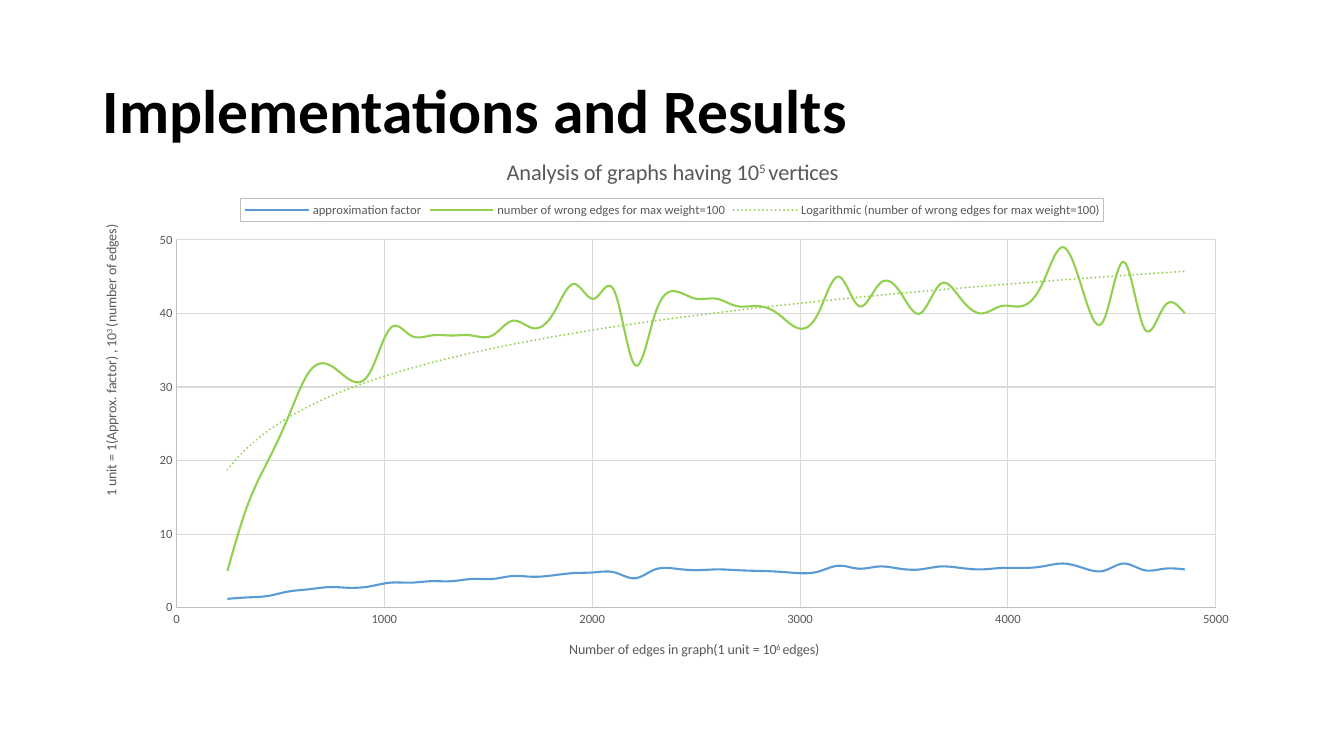
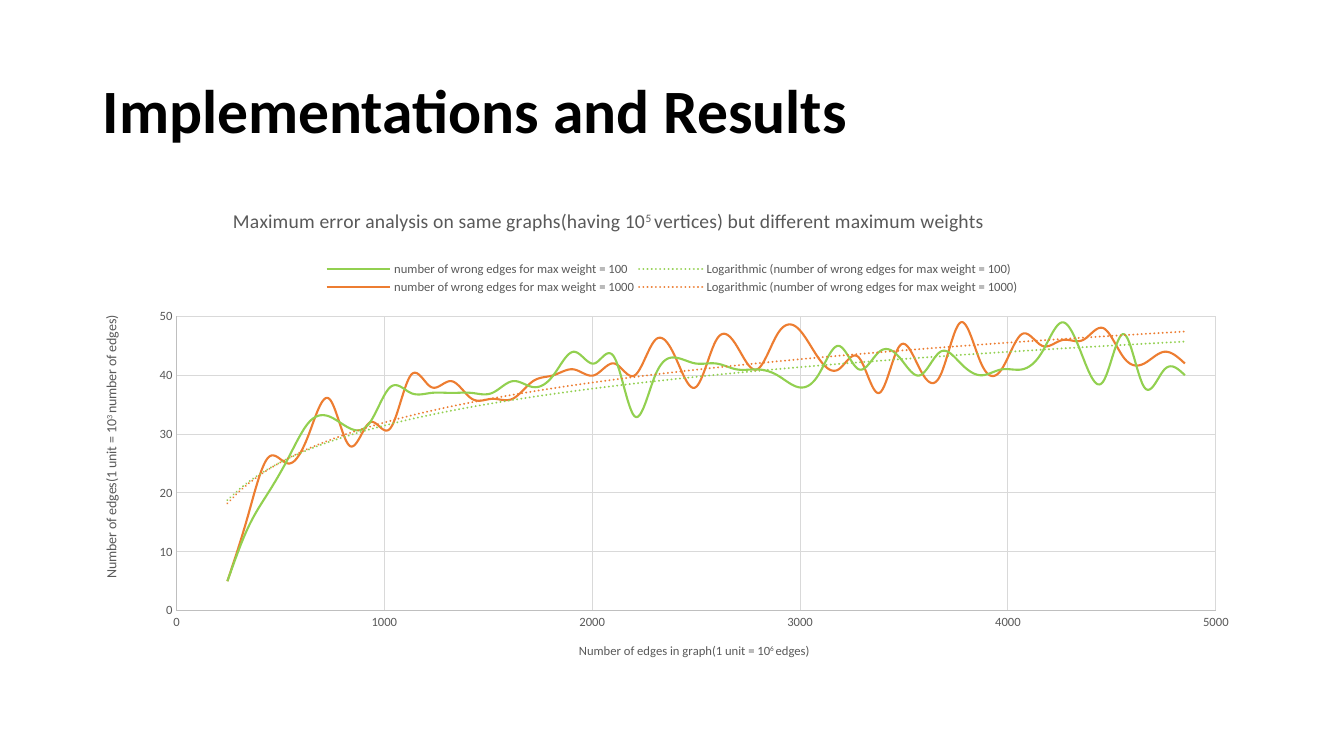
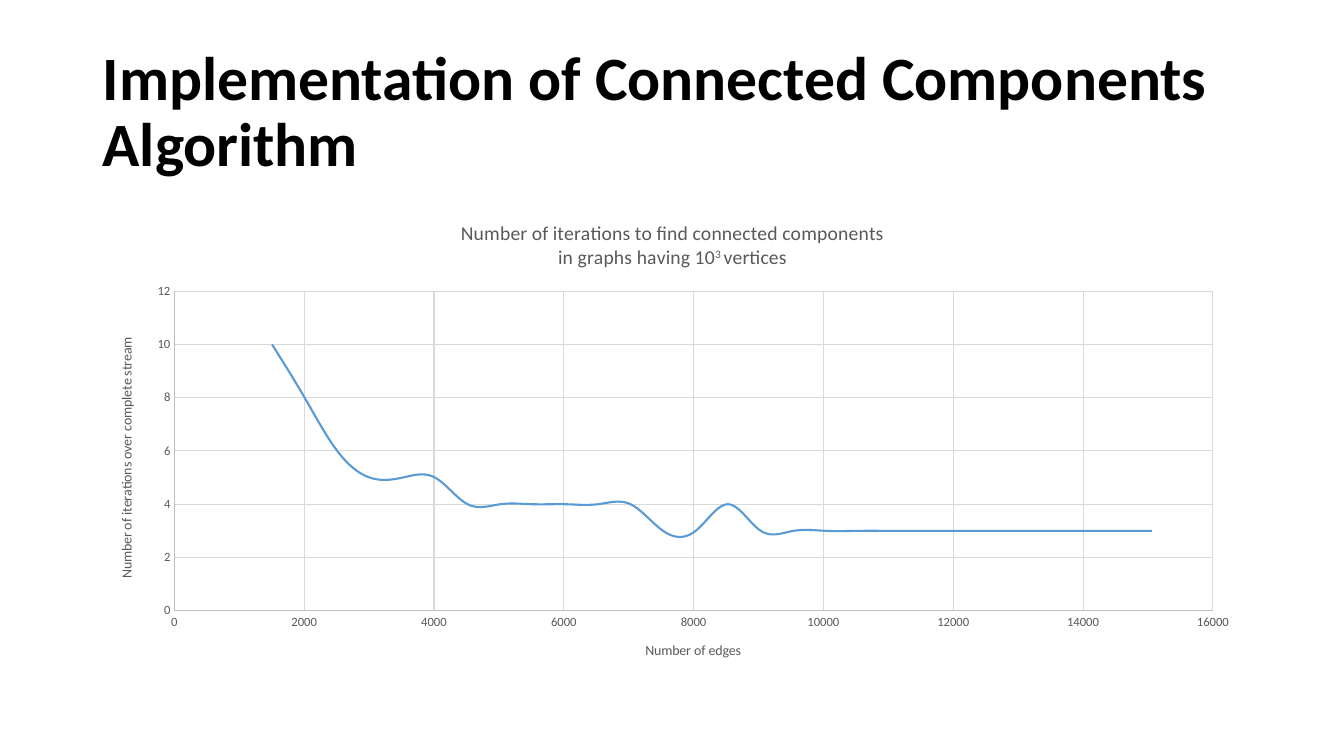
"""Three slides of smooth scatter charts on graph algorithm results."""
from lxml.etree import SubElement as Sub
from pptx import Presentation
from pptx.chart.data import XyChartData
from pptx.dml.color import RGBColor
from pptx.enum.chart import XL_CHART_TYPE as Kind, XL_LEGEND_POSITION as Spot
from pptx.enum.chart import XL_TICK_MARK as Tick
from pptx.enum.text import MSO_ANCHOR as Anchor
from pptx.oxml import parse_xml
from pptx.oxml.ns import nsdecls, qn
from pptx.util import Inches, Pt

FONT = "Calibri"
BLACK, GRAY, RULE, GRID = "000000", "595959", "BFBFBF", "D9D9D9"
BLUE, GREEN, ORANGE = "5B9BD5", "92D050", "ED7D31"
LEFT, WIDE = 0.92, 11.5

EDGES = range(245, 4852, 98)
STREAM = range(1506, 15061, 502)
FACTOR = [
    1.2, 1.4, 1.6, 2.2, 2.5, 2.8, 2.7, 2.9, 3.4, 3.4, 3.6, 3.6,
    3.9, 3.9, 4.3, 4.2, 4.4, 4.7, 4.8, 4.8, 4.0, 5.2, 5.3, 5.1,
    5.2, 5.1, 5.0, 4.9, 4.7, 4.9, 5.7, 5.3, 5.6, 5.3, 5.2, 5.6,
    5.4, 5.2, 5.4, 5.4, 5.6, 6.0, 5.4, 5.0, 6.0, 5.1, 5.3, 5.2]
LIGHT = [
    5, 14, 20, 26, 32, 33, 31, 32, 38, 37, 37, 37, 37, 37, 39, 38,
    40, 44, 42, 43, 33, 40, 43, 42, 42, 41, 41, 40, 38, 40, 45, 41,
    44, 43, 40, 44, 42, 40, 41, 41, 44, 49, 43, 39, 47, 38, 41, 40]
HEAVY = [
    5, 16, 26, 25, 30, 36, 28, 32, 31, 40, 38, 39, 36, 36, 36, 39,
    40, 41, 40, 42, 40, 46, 43, 38, 46, 45, 41, 47, 48, 43, 41, 43,
    37, 45, 41, 40, 49, 42, 41, 47, 45, 46, 46, 48, 43, 42, 44, 42]
ROUNDS = [10, 8, 6, 5, 5, 5] + [4] * 6 + [3, 3, 4] + [3] * 13

# Text between bars is raised; boxes are inches on the slide.
SLIDES = [
    {"head": "Implementations and Results",
     "top": 1.37, "high": 5.38, "plot": (1.75, 2.38, 10.31, 3.65),
     "title": ("Analysis of graphs having 10|5 |vertices", 16, None),
     "x": ("Number of edges in graph(1 unit = 10|6 |edges)", 10, None, 5000, 1000),
     "y": ("1 unit = 1(Approx. factor) , 10|3 |(number of edges)", 10, (0.98, 2.2), 50, 10),
     "legend": (2.39, 1.97, 8.56, 0.23), "frame": True, "xs": EDGES,
     "series": [("approximation factor", FACTOR, BLUE, False),
                ("number of wrong edges for max weight=100", LIGHT, GREEN, True)]},
    {"head": "Implementations and Results",
     "top": 2, "high": 4.76, "plot": (1.75, 3.14, 10.31, 2.92),
     "title": ("Maximum error analysis on same graphs(having 10|5 |vertices)"
               " but different maximum weights", 14, (2.28, 2.03)),
     "x": ("Number of edges in graph(1 unit = 10|6 |edges)", 9, None, 5000, 1000),
     "y": ("Number of edges(1 unit = 10|3 |number of edges)", 10, (0.98, 3.1), 50, 10),
     "legend": (3.19, 2.57, 6.95, 0.38), "frame": False, "xs": EDGES,
     "series": [("number of wrong edges for max weight = 100", LIGHT, GREEN, True),
                ("number of wrong edges for max weight = 1000", HEAVY, ORANGE, True)]},
    {"head": "Implementation of Connected Components Algorithm",
     "top": 2, "high": 4.76, "plot": (1.73, 2.89, 10.3, 3.17),
     "title": ("Number of iterations to find connected components\n"
               "in graphs having 10|3 |vertices", 14, None),
     "x": ("Number of edges", 10, None, 16000, 2000),
     "y": ("Number of iterations over complete stream", 10, (1.14, 3.32), 12, 2),
     "legend": None, "frame": False, "xs": STREAM,
     "series": [("Series 1", ROUNDS, BLUE, False)]},
]


def rgb(code):
    return RGBColor.from_string(code)


def style(font, size, color, bold=False):
    font.name, font.size, font.bold = FONT, Pt(size), bold
    font.color.rgb = rgb(color)


def stroke(line, color, width=0.75):
    line.color.rgb, line.width = rgb(color), Pt(width)


def place(node, box, page, inner=False):
    old = node.find(qn("c:layout"))
    if old is not None:
        node.remove(old)
    lay = parse_xml(f"<c:layout {nsdecls('c')}><c:manualLayout/></c:layout>")
    hand = lay[0]
    if inner:
        Sub(hand, qn("c:layoutTarget"), val="inner")
    for key in ("xMode", "yMode"):
        Sub(hand, qn(f"c:{key}"), val="edge")
    x, y = (box[0] - LEFT) / WIDE, (box[1] - page["top"]) / page["high"]
    parts = [x, y] + [n / d for n, d in zip(box[2:], (WIDE, page["high"]))]
    for key, part in zip("xywh", parts):
        Sub(hand, qn(f"c:{key}"), val=f"{part:.4f}")
    over = node.find(qn("c:overlay"))
    if over is None:
        node.insert(0, lay)
    else:
        over.addprevious(lay)


def label(title, text, size, spot, page):
    frame = title.text_frame
    for i, row in enumerate(text.split("\n")):
        para = frame.add_paragraph() if i else frame.paragraphs[0]
        style(para.font, size, GRAY)
        for j, bit in enumerate(row.split("|")):
            run = para.add_run()
            run.text = bit
            style(run.font, size, GRAY)
            if j % 2:
                run.font._element.set("baseline", "30000")
    if spot:
        place(title._element, spot, page)
    return frame


def scale(axis, text, size, spot, top, step, page):
    axis.minimum_scale, axis.maximum_scale, axis.major_unit = 0, top, step
    axis.major_tick_mark = axis.minor_tick_mark = Tick.NONE
    axis.has_major_gridlines = True
    stroke(axis.major_gridlines.format.line, GRID)
    stroke(axis.format.line, RULE)
    style(axis.tick_labels.font, 9, GRAY)
    return label(axis.axis_title, text, size, spot, page)


def trend(ser, color):
    ser.find(qn("c:xVal")).addprevious(parse_xml(
        f'<c:trendline {nsdecls("c", "a")}><c:spPr><a:ln w="{Pt(1.5)}" cap="rnd">'
        f'<a:solidFill><a:srgbClr val="{color}"/></a:solidFill>'
        '<a:prstDash val="sysDot"/></a:ln></c:spPr>'
        '<c:trendlineType val="log"/><c:dispRSqr val="0"/><c:dispEq val="0"/>'
        '</c:trendline>'))


def heading(slide, text):
    box = slide.shapes.add_textbox(*map(Inches, (LEFT, 0.4, WIDE, 1.45)))
    frame = box.text_frame
    frame.word_wrap, frame.vertical_anchor = True, Anchor.MIDDLE
    para = frame.paragraphs[0]
    para.text, para.line_spacing = text, 0.9
    style(para.font, 44, BLACK, True)


def graph(slide, page):
    data = XyChartData()
    for name, vals, _, _ in page["series"]:
        ser = data.add_series(name)
        for x, y in zip(page["xs"], vals):
            ser.add_data_point(x, y)
    area = map(Inches, (LEFT, page["top"], WIDE, page["high"]))
    chart = slide.shapes.add_chart(Kind.XY_SCATTER_SMOOTH_NO_MARKERS, *area, data).chart
    style(chart.font, 10, BLACK)
    plot = chart.plots[0]
    plot.vary_by_categories = False
    for ser, (_, _, color, fit) in zip(plot.series, page["series"]):
        stroke(ser.format.line, color, 1.5)
        ser._element.get_or_add_smooth().val = True
        if fit:
            trend(ser._element, color)
    chart.has_title = True
    label(chart.chart_title, *page["title"], page)
    scale(chart.category_axis, *page["x"], page)
    side = scale(chart.value_axis, *page["y"], page)
    side._txBody.find(qn("a:bodyPr")).set("rot", "-5400000")
    place(chart._chartSpace.chart.plotArea, page["plot"], page, True)
    chart.has_legend = bool(page["legend"])
    if chart.has_legend:
        key = chart.legend
        key.position, key.include_in_layout = Spot.TOP, False
        style(key.font, 9, GRAY)
        place(key._element, page["legend"], page)
        if page["frame"]:
            key._element.find(qn("c:overlay")).addnext(parse_xml(
                f'<c:spPr {nsdecls("c", "a")}><a:ln w="{Pt(0.75)}"><a:solidFill>'
                f'<a:srgbClr val="{RULE}"/></a:solidFill></a:ln></c:spPr>'))


def main():
    deck = Presentation()
    deck.slide_width, deck.slide_height = Inches(13.33), Inches(7.5)
    for page in SLIDES:
        slide = deck.slides.add_slide(deck.slide_layouts[6])
        heading(slide, page["head"])
        graph(slide, page)
    deck.save("out.pptx")


if __name__ == "__main__":
    main()
